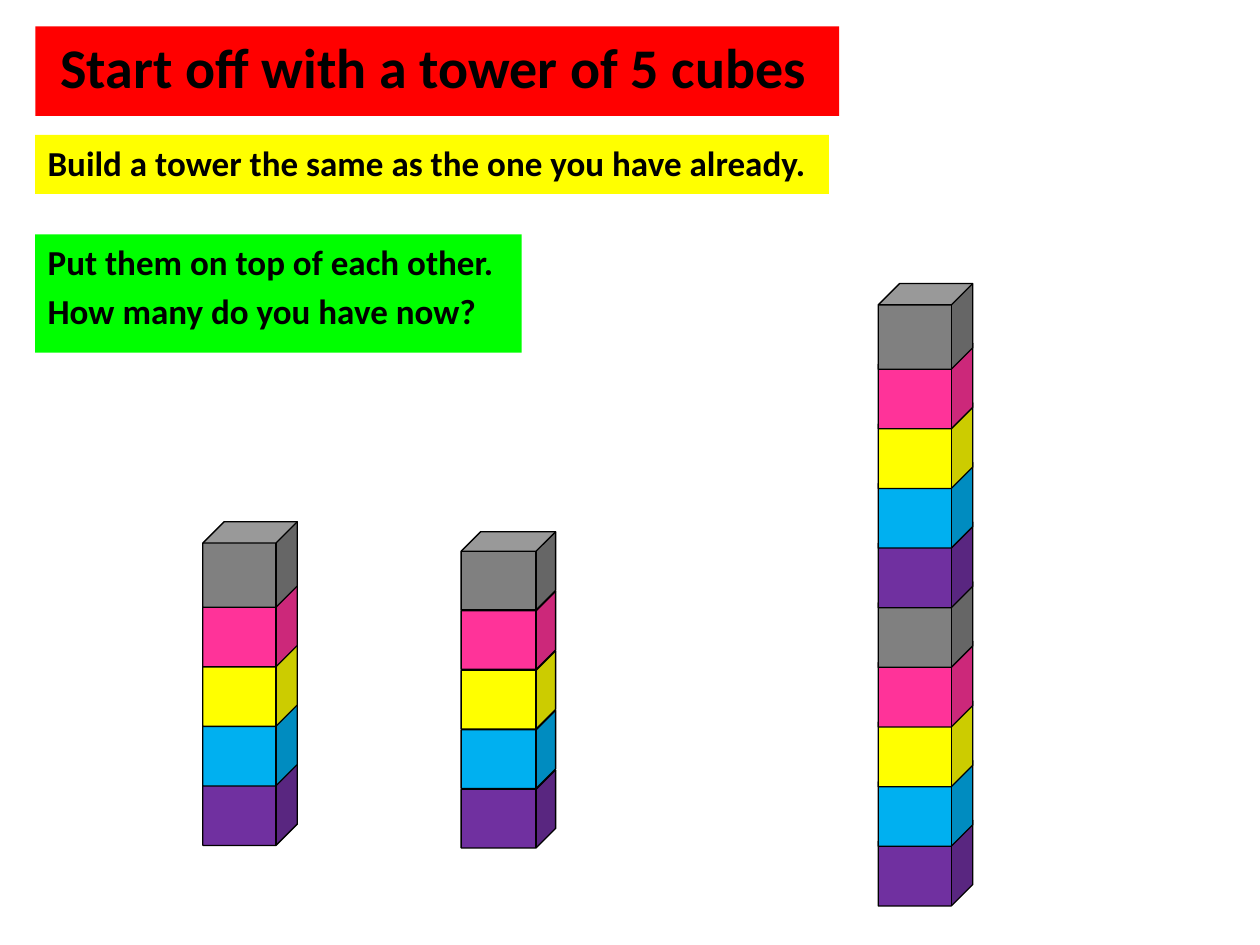
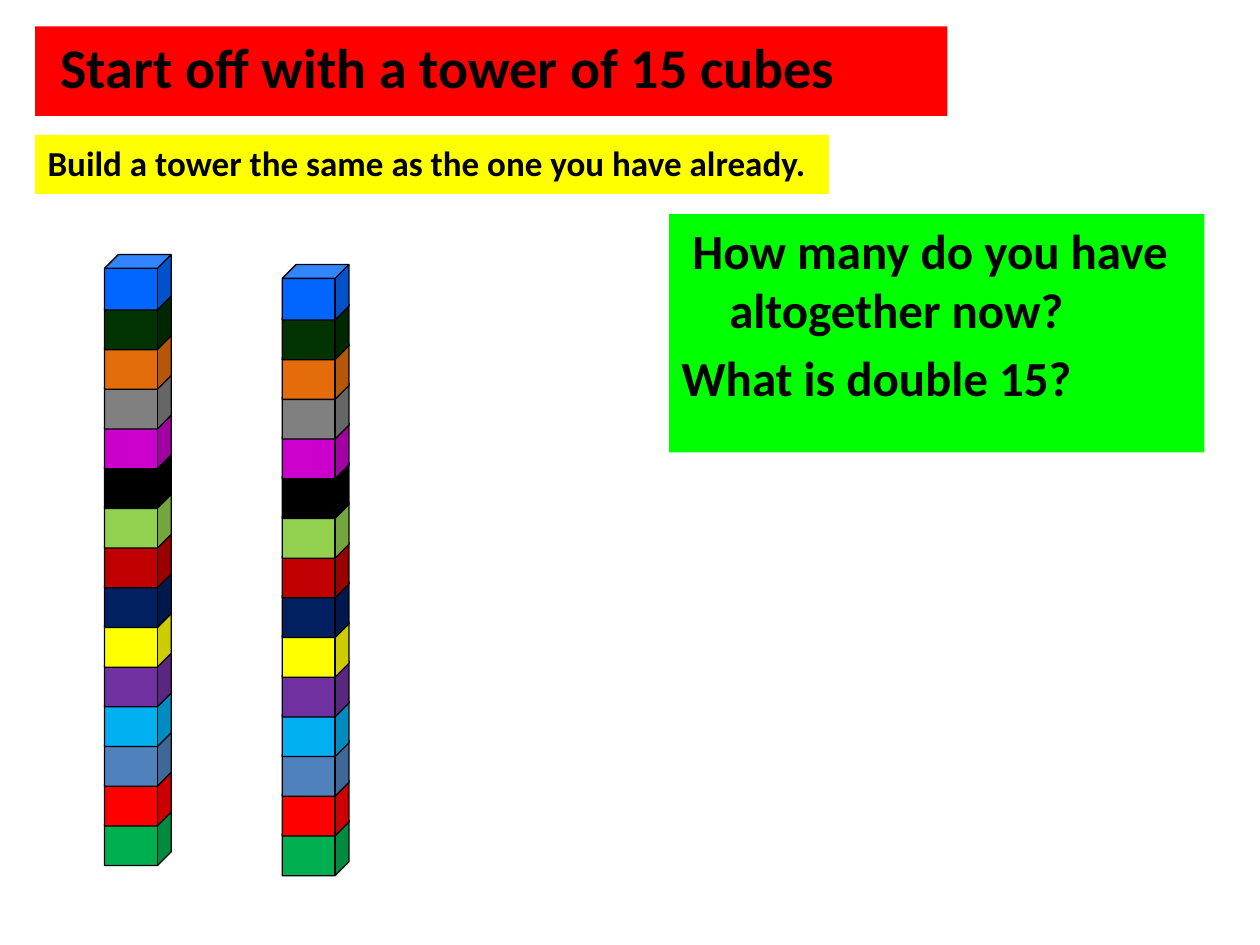
from dataclasses import dataclass

from pptx import Presentation
from pptx.dml.color import RGBColor
from pptx.enum.shapes import MSO_SHAPE
from pptx.enum.text import MSO_ANCHOR, PP_ALIGN
from pptx.slide import Slide
from pptx.util import Inches, Pt

RECTANGLE = MSO_SHAPE.RECTANGLE
CUBE = MSO_SHAPE.CUBE
TOP = MSO_ANCHOR.TOP
LEFT = PP_ALIGN.LEFT


@dataclass(frozen=True)
class Theme:
    font: str = "Calibri"
    ink: str = "000000"
    title_fill: str = "FF0000"
    task_fill: str = "FFFF00"
    question_fill: str = "00FF00"
    title_size: int = 32
    question_size: int = 28
    text_size: int = 20
    outline: float = 0.75
    hanging_indent: float = 0.38
    paragraph_gap: float = 0.2  # share of the type size


THEME = Theme()

# Cube colours run from the bottom of a tower to its top.
FIVE_CUBES = ("7030A0", "00B0F0", "FFFF00", "FF3399", "808080")
FIFTEEN_CUBES = (
    "00B050", "FF0000", "4F81BD", "00B0F0", "7030A0",
    "FFFF00", "002060", "C00000", "92D050", "000000",
    "CC00CC", "808080", "E46C0A", "003300", "0066FF",
)


@dataclass(frozen=True)
class Banner:
    left: float
    top: float
    width: float
    height: float
    fill: str
    size: int
    lines: tuple[str, ...]


@dataclass(frozen=True)
class Tower:
    """A stack of equally spaced cubes; top and base are the tops of its end cubes."""
    left: float
    top: float
    base: float
    cube_width: float
    cube_height: float
    colours: tuple[str, ...]


@dataclass(frozen=True)
class Page:
    title: str
    title_width: float
    question: Banner
    towers: tuple[Tower, ...]


PAGES = (
    Page(
        " Start off with a tower of 5 cubes",
        6.38,
        Banner(0.28, 1.86, 3.86, 0.94, THEME.question_fill, THEME.text_size,
               ("Put them on top of each other.", "How many do you have now?")),
        (
            Tower(1.61, 4.14, 6.03, 0.75, 0.68, FIVE_CUBES),
            Tower(3.66, 4.22, 6.11, 0.75, 0.62, FIVE_CUBES),
            Tower(6.97, 2.25, 6.51, 0.75, 0.68, FIVE_CUBES * 2),
        ),
    ),
    Page(
        " Start off with a tower of 15 cubes",
        7.24,
        Banner(5.31, 1.7, 4.25, 1.89, THEME.question_fill, THEME.question_size,
               (" How many do you have altogether now?", "What is double 15?")),
        (
            Tower(0.83, 2.02, 6.43, 0.53, 0.44, FIFTEEN_CUBES),
            Tower(2.24, 2.1, 6.51, 0.53, 0.44, FIFTEEN_CUBES),
        ),
    ),
)

TASK = Banner(0.28, 1.07, 6.3, 0.47, THEME.task_fill, THEME.text_size,
              ("Build a tower the same as the one you have already.",))


def add_filled_shape(slide: Slide, kind: MSO_SHAPE, left: float, top: float,
                     width: float, height: float, fill: str):
    shape = slide.shapes.add_shape(
        kind, Inches(left), Inches(top), Inches(width), Inches(height))
    shape.shadow.inherit = False
    shape.fill.solid()
    shape.fill.fore_color.rgb = RGBColor.from_string(fill)
    return shape


def add_banner(slide: Slide, banner: Banner) -> None:
    box = add_filled_shape(slide, RECTANGLE, banner.left, banner.top,
                           banner.width, banner.height, banner.fill)
    box.line.fill.background()
    frame = box.text_frame
    frame.word_wrap = True
    frame.vertical_anchor = TOP
    indent = Inches(THEME.hanging_indent)
    font_format = {"name": THEME.font, "size": Pt(banner.size), "bold": True}
    for index, line in enumerate(banner.lines):
        para = frame.add_paragraph() if index else frame.paragraphs[0]
        para.alignment = LEFT
        if index:
            para.space_before = Pt(banner.size * THEME.paragraph_gap)
        properties = para._p.get_or_add_pPr()
        properties.set("marL", str(indent))
        properties.set("indent", str(-indent))
        span = para.add_run()
        span.text = line
        for name, value in font_format.items():
            setattr(span.font, name, value)
        span.font.color.rgb = RGBColor.from_string(THEME.ink)


def add_tower(slide: Slide, tower: Tower) -> None:
    rise = (tower.base - tower.top) / (len(tower.colours) - 1)
    for level, colour in enumerate(tower.colours):
        cube = add_filled_shape(slide, CUBE, tower.left, tower.base - level * rise,
                                tower.cube_width, tower.cube_height, colour)
        cube.adjustments[0] = 0.25
        cube.line.color.rgb = RGBColor.from_string(THEME.ink)
        cube.line.width = Pt(THEME.outline)


def main() -> None:
    deck = Presentation()
    deck.slide_width, deck.slide_height = Inches(10), Inches(7.5)
    blank = deck.slide_layouts[6]
    for page in PAGES:
        slide = deck.slides.add_slide(blank)
        title = Banner(0.28, 0.21, page.title_width, 0.71,
                       THEME.title_fill, THEME.title_size, (page.title,))
        for banner in (TASK, title, page.question):
            add_banner(slide, banner)
        for tower in page.towers:
            add_tower(slide, tower)
    deck.save("out.pptx")


if __name__ == "__main__":
    main()
